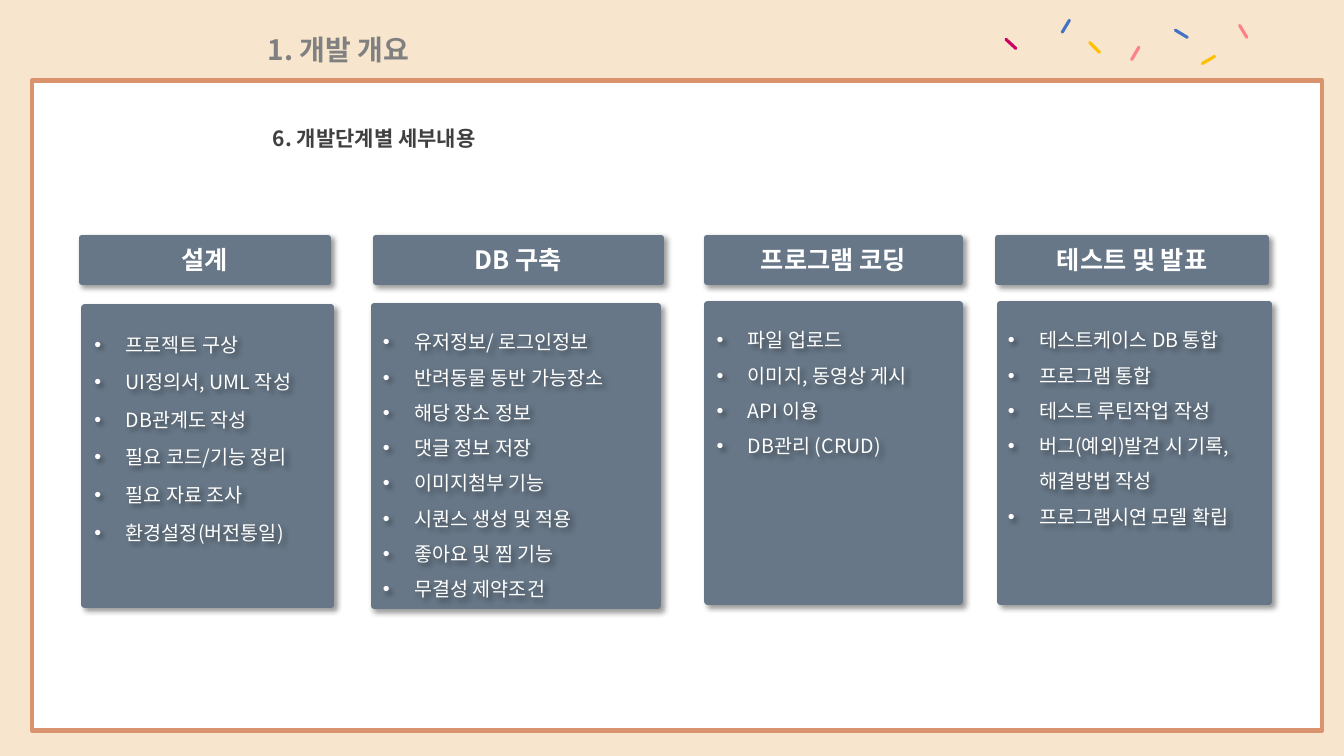
from lxml.etree import SubElement
from pptx import Presentation
from pptx.dml.color import RGBColor
from pptx.enum.shapes import MSO_CONNECTOR, MSO_SHAPE
from pptx.enum.text import MSO_ANCHOR, PP_ALIGN
from pptx.oxml.ns import qn
from pptx.util import Cm, Pt

FONT = "Noto Sans CJK KR"
CREAM = RGBColor(0xF7, 0xE5, 0xCD)
WHITE = RGBColor(0xFF, 0xFF, 0xFF)
TERRACOTTA = RGBColor(0xD9, 0x93, 0x6F)
SLATE = RGBColor(0x67, 0x77, 0x87)
GRAY = RGBColor(0x80, 0x80, 0x80)
DARK = RGBColor(0x40, 0x40, 0x40)
MAGENTA = RGBColor(0xCC, 0x00, 0x66)
PINK = RGBColor(0xFF, 0x80, 0x86)
BLUE = RGBColor(0x44, 0x72, 0xC4)
YELLOW = RGBColor(0xFF, 0xC0, 0x00)

# Content: all boxes are left, top, width, height in centimetres
TITLE = "1. 개발 개요"
SUBTITLE = "6. 개발단계별 세부내용"
HEADER_TOP, HEADER_HEIGHT = 5.99, 1.12
STAGES = [
    {"name": "설계", "header": (2.06, 6.2), "panel": (2.13, 7.75, 6.22, 7.49),
     "list": (2.13, 7.9, 7.29, 6.4), "spacing": 1.6,
     "items": ["프로젝트 구상", "UI정의서, UML 작성", "DB관계도 작성",
               "필요 코드/기능 정리", "필요 자료 조사", "환경설정(버전통일)"]},
    {"name": "DB 구축", "header": (9.47, 7.19), "panel": (9.42, 7.72, 7.16, 7.54),
     "list": (9.4, 7.9, 7.19, 7.37), "spacing": 1.5,
     "items": ["유저정보/ 로그인정보", "반려동물 동반 가능장소", "해당 장소 정보",
               "댓글 정보 저장", "이미지첨부 기능", "시퀀스 생성 및 적용",
               "좋아요 및 찜 기능", "무결성 제약조건"]},
    {"name": "프로그램 코딩", "header": (17.81, 6.38), "panel": (17.83, 7.67, 6.35, 7.49),
     "list": (17.81, 7.85, 6.73, 7.37), "spacing": 1.5,
     "items": ["파일 업로드", "이미지, 동영상 게시", "API 이용", "DB관리 (CRUD)"]},
    {"name": "테스트 및 발표", "header": (25.15, 6.76), "panel": (25.2, 7.67, 6.78, 7.49),
     "list": (25.15, 7.85, 6.73, 7.37), "spacing": 1.5,
     "items": ["테스트케이스 DB 통합", "프로그램 통합", "테스트 루틴작업 작성",
               "버그(예외)발견 시 기록, 해결방법 작성", "프로그램시연 모델 확립"]},
]
CONFETTI = [  # start x, start y, end x, end y, colour
    (25.35, 0.99, 25.6, 1.22, MAGENTA),
    (28.52, 1.5, 28.7, 1.19, PINK),
    (29.92, 0.94, 29.62, 0.76, BLUE),
    (30.3, 1.6, 30.61, 1.42, YELLOW),
    (31.42, 0.94, 31.24, 0.64, PINK),
    (26.77, 0.81, 26.95, 0.51, BLUE),
    (27.71, 1.32, 27.46, 1.07, YELLOW),
]


def add_shadow(shape):
    shape.shadow.inherit = False
    effects = shape._element.spPr.find(qn("a:effectLst"))
    outer = SubElement(effects, qn("a:outerShdw"), blurRad=str(Pt(4)), dist=str(Pt(3)),
                       dir="2700000", algn="tl", rotWithShape="0")
    black = SubElement(outer, qn("a:srgbClr"), val="000000")
    SubElement(black, qn("a:alpha"), val="40000")


def add_box(page, bounds, fill, line, line_width, shadow=False):
    box = page.shapes.add_shape(MSO_SHAPE.RECTANGLE, *map(Cm, bounds))
    box.shadow.inherit = False
    box.fill.solid()
    box.fill.fore_color.rgb = fill
    box.line.color.rgb = line
    box.line.width = Pt(line_width)
    if shadow:
        add_shadow(box)
    return box


def add_bullet(para):
    properties = para._p.get_or_add_pPr()
    properties.set("marL", str(Cm(0.79)))
    properties.set("indent", str(-Cm(0.79)))
    SubElement(properties, qn("a:buFont"), typeface="Arial")
    SubElement(properties, qn("a:buChar"), char="•")


def write(shape, lines, size=14, color=WHITE, bold=False, align=PP_ALIGN.LEFT,
          anchor=MSO_ANCHOR.TOP, spacing=1.0, bullets=False):
    frame = shape.text_frame
    frame.word_wrap = True
    frame.vertical_anchor = anchor
    for index, line in enumerate(lines):
        para = frame.add_paragraph() if index else frame.paragraphs[0]
        if bullets:
            add_bullet(para)
        para.alignment = align
        para.line_spacing = spacing
        span = para.add_run()
        span.text = line
        span.font.size = Pt(size)
        span.font.bold = bold
        span.font.color.rgb = color
        span.font.name = FONT
        SubElement(span.font._element, qn("a:ea"), typeface=FONT)


def main():
    deck = Presentation()
    deck.slide_width, deck.slide_height = Cm(33.87), Cm(19.05)
    page = deck.slides.add_slide(deck.slide_layouts[6])
    page.background.fill.solid()
    page.background.fill.fore_color.rgb = CREAM

    # Frame and titles
    add_box(page, (0.81, 2.03, 32.51, 16.38), WHITE, TERRACOTTA, 3.25)
    title = page.shapes.add_textbox(Cm(6.5), Cm(0.28), Cm(18.29), Cm(1.4))
    write(title, [TITLE], size=20, color=GRAY, bold=True, spacing=1.5)
    subtitle = page.shapes.add_textbox(Cm(6.63), Cm(3.05), Cm(18.29), Cm(0.89))
    write(subtitle, [SUBTITLE], size=15, color=DARK, bold=True)

    # Confetti strokes
    for *ends, color in CONFETTI:
        stroke = page.shapes.add_connector(MSO_CONNECTOR.STRAIGHT, *map(Cm, ends))
        stroke.line.color.rgb = color
        stroke.line.width = Pt(2.25)
        stroke.line._get_or_add_ln().set("cap", "rnd")
        SubElement(stroke._element.spPr, qn("a:effectLst"))

    # Stage columns
    for stage in STAGES:
        add_box(page, stage["panel"], SLATE, SLATE, 4.5, shadow=True)
        tasks = page.shapes.add_textbox(*map(Cm, stage["list"]))
        add_shadow(tasks)
        write(tasks, stage["items"], spacing=stage["spacing"], bullets=True)
        left, width = stage["header"]
        header = add_box(page, (left, HEADER_TOP, width, HEADER_HEIGHT),
                         SLATE, SLATE, 4.5, shadow=True)
        write(header, [stage["name"]], size=18, bold=True,
              align=PP_ALIGN.CENTER, anchor=MSO_ANCHOR.MIDDLE)

    deck.save("out.pptx")


if __name__ == "__main__":
    main()
